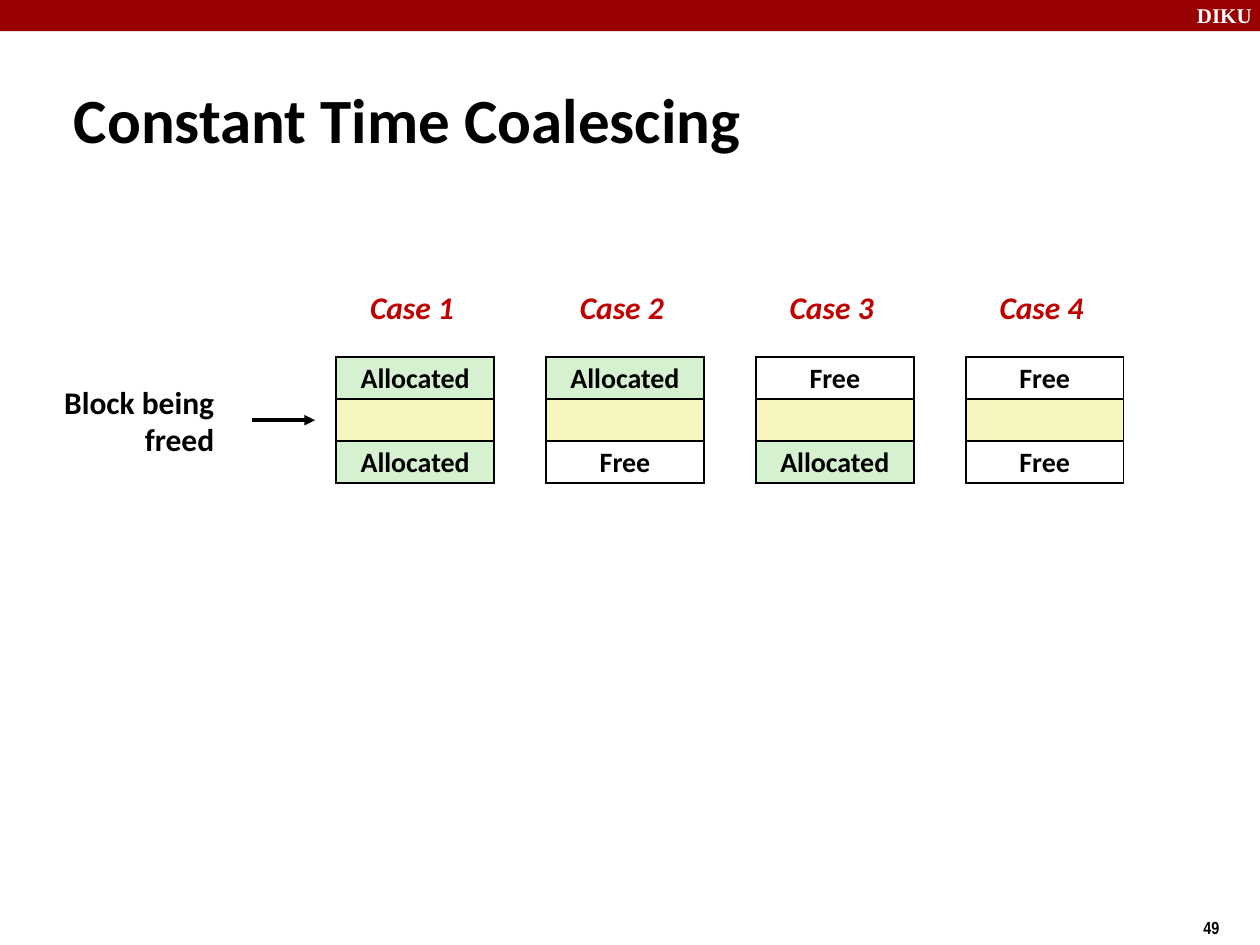
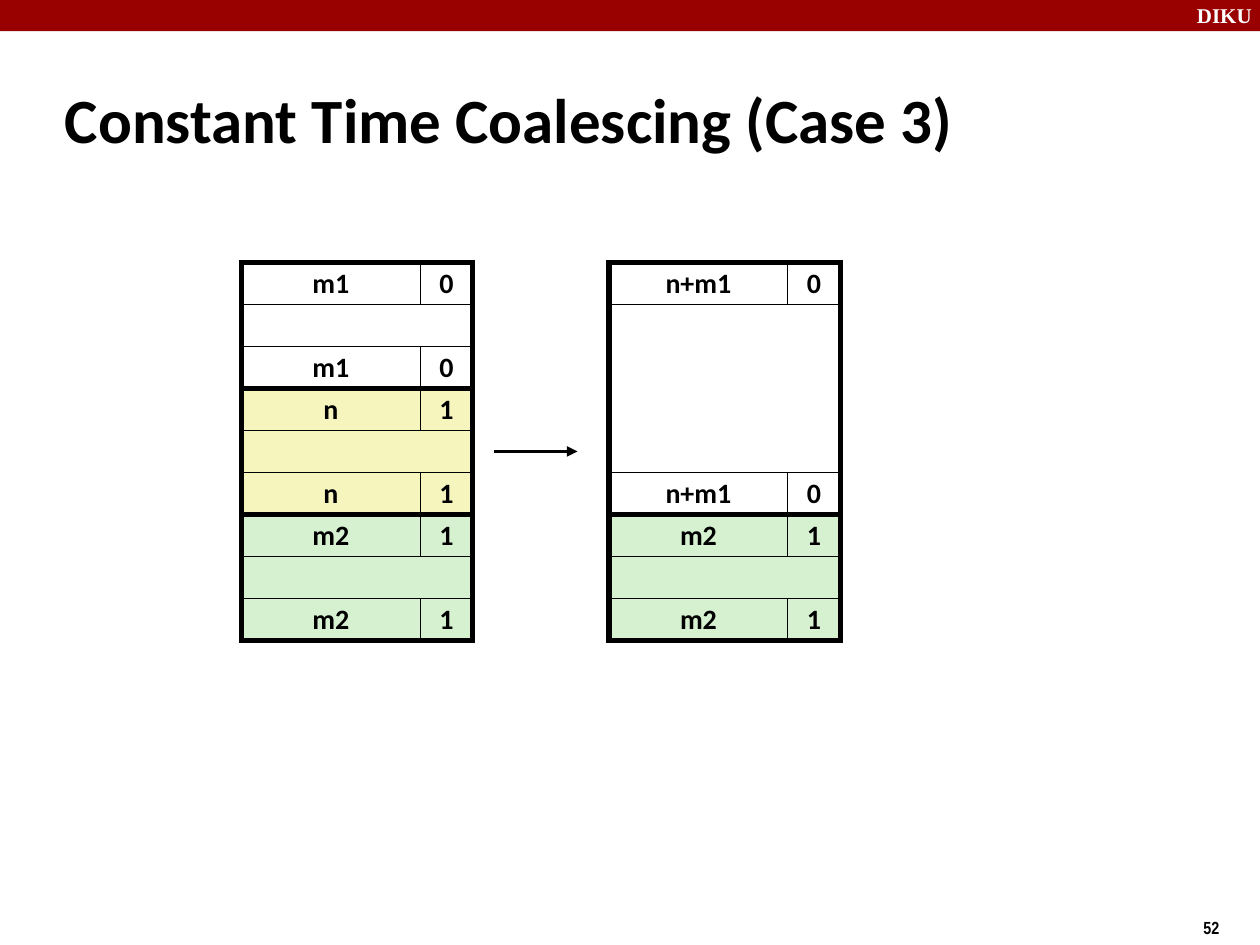
from dataclasses import dataclass

import pptx
import pptx.dml.color
import pptx.enum.shapes
import pptx.enum.text
import pptx.oxml
import pptx.oxml.ns
import pptx.util

Cm = pptx.util.Cm
Pt = pptx.util.Pt
RGB = pptx.dml.color.RGBColor.from_string
ALIGN = pptx.enum.text.PP_ALIGN
ANCHOR = pptx.enum.text.MSO_ANCHOR


@dataclass(frozen=True)
class Theme:
    band: str = "990000"
    accent: str = "C00000"
    ink: str = "000000"
    free: str = "FFFFFF"
    freed: str = "F6F5BD"
    allocated: str = "D5F1CF"
    font: str = "Calibri"
    brand_font: str = "Times New Roman"
    number_font: str = "Arial Narrow"
    title_size: int = 36
    label_size: int = 18
    cell_size: int = 16
    brand_size: int = 12
    number_size: int = 10
    thin: float = 0.25
    medium: float = 1
    arrow: float = 2
    thick: float = 3


T = Theme()
SLIDE_W, SLIDE_H = Cm(25.4), Cm(19.05)
ROW = Cm(2.54) // 3
SIZE_W, FLAG_W = Cm(3.6), Cm(1.06)
BLOCK_W = SIZE_W + FLAG_W


def write(s, lines, size, color=T.ink, font=T.font, align=ALIGN.LEFT,
          italic=False, spacing=None, wrap=True, anchor=ANCHOR.TOP):
    tf = s.text_frame
    tf.word_wrap = wrap
    tf.vertical_anchor = anchor
    tf.text = lines
    for p in tf.paragraphs:
        p.alignment = align
        p.line_spacing = spacing
        p.font.name = font
        p.font.size = Pt(size)
        p.font.bold = True
        p.font.italic = italic
        p.font.color.rgb = RGB(color)


def add_text(slide, left, top, width, height, lines, size, **style):
    write(slide.shapes.add_textbox(left, top, width, height), lines, size, **style)


def style_line(s, width, end):
    """Ink outline of the given width, closed by one more a:ln child."""
    s.line.color.rgb = RGB(T.ink)
    s.line.width = Pt(width)
    ln = s.element.spPr.find(pptx.oxml.ns.qn("a:ln"))
    ln.append(pptx.oxml.parse_xml(f'<a:{end} {pptx.oxml.ns.nsdecls("a")}/>'))


def add_rect(slide, left, top, width, height, fill=None, line=None):
    """Rectangle; no fill or no line where that argument is None."""
    s = slide.shapes.add_shape(pptx.enum.shapes.MSO_SHAPE.RECTANGLE,
                               left, top, width, height)
    s.shadow.inherit = False
    if fill:
        s.fill.solid()
        s.fill.fore_color.rgb = RGB(fill)
    else:
        s.fill.background()
    if line:
        style_line(s, line, 'miter lim="800000"'.split()[0])
    else:
        s.line.fill.background()
    return s


def add_cell(slide, left, top, width, text, fill, line):
    s = add_rect(slide, left, top, width, ROW, fill, line)
    if text:
        write(s, text, T.cell_size, align=ALIGN.CENTER, spacing=0.98,
              wrap=False, anchor=ANCHOR.MIDDLE)


def add_arrow(slide, left, right, y):
    s = slide.shapes.add_connector(pptx.enum.shapes.MSO_CONNECTOR.STRAIGHT,
                                   left, y, right, y)
    style_line(s, T.arrow, 'tailEnd type="triangle"')
    sp_pr = s.element.spPr
    sp_pr.append(sp_pr.makeelement(pptx.oxml.ns.qn("a:effectLst"), {}))


def add_slide(prs, title, title_left, number):
    """Blank slide with the shared band, title and slide number."""
    slide = prs.slides.add_slide(prs.slide_layouts[6])
    add_rect(slide, 0, 0, SLIDE_W, Cm(0.63), T.band)
    add_text(slide, Cm(23.88), Cm(-0.08), Cm(1.7), Cm(0.76), "DIKU", T.brand_size,
             color=T.free, font=T.brand_font)
    add_text(slide, Cm(24.01), Cm(18.36), Cm(1.35), Cm(0.69), number,
             T.number_size, font=T.number_font)
    add_text(slide, title_left, Cm(1.59), Cm(23), Cm(1.6), title, T.title_size,
             anchor=ANCHOR.MIDDLE)
    return slide


def add_case(slide, number, left, before, after):
    """Freed block between its two neighbours, under a case label."""
    fills = {"Allocated": T.allocated, "Free": T.free, "": T.freed}
    add_text(slide, left + Cm(0.43), Cm(5.72), Cm(2.75), Cm(1.02),
             f"Case {number}", T.label_size, color=T.accent, italic=True, spacing=0.98)
    for i, state in enumerate((before, "", after)):
        add_cell(slide, left, Cm(7.2) + i * ROW, Cm(3.18), state,
                 fills[state], T.medium)


def add_block(slide, left, top, size, flag, fill, body_rows=1):
    """Memory block with equal header and footer; returns its bottom edge."""
    body = body_rows * ROW
    add_rect(slide, left, top + ROW, BLOCK_W, body, fill, T.thin)
    for y in (top, top + ROW + body):
        add_cell(slide, left, y, SIZE_W, size, fill, T.thin)
        add_cell(slide, left + SIZE_W, y, FLAG_W, flag, fill, T.thin)
    height = body + 2 * ROW
    add_rect(slide, left, top, BLOCK_W, height, line=T.thick)
    return top + height


def add_heap(slide, left, blocks):
    top = Cm(5.29)
    for block in blocks:
        top = add_block(slide, left, top, *block)


def build_cases(prs):
    slide = add_slide(prs, "Constant Time Coalescing", Cm(1.24), "49")
    cases = [("Allocated", "Allocated"), ("Allocated", "Free"),
             ("Free", "Allocated"), ("Free", "Free")]
    for i, (before, after) in enumerate(cases):
        add_case(slide, i + 1, Cm(6.78 + 4.23 * i), before, after)
    add_text(slide, Cm(0.57), Cm(7.63), Cm(4), Cm(1.78), "Block being\nfreed",
             T.label_size, align=ALIGN.RIGHT, spacing=0.98)
    add_arrow(slide, Cm(5.08), Cm(6.35), Cm(8.47))


def build_case_3(prs):
    slide = add_slide(prs, "Constant Time Coalescing (Case 3)", Cm(1.06), "52")
    next_block = ("m2", "1", T.allocated)
    add_heap(slide, Cm(4.87), [("m1", "0", T.free), ("n", "1", T.freed), next_block])
    add_heap(slide, Cm(12.28), [("n+m1", "0", T.free, 4), next_block])
    add_arrow(slide, Cm(9.95), Cm(11.64), Cm(9.1))


def main():
    prs = pptx.Presentation()
    prs.slide_width, prs.slide_height = SLIDE_W, SLIDE_H
    build_cases(prs)
    build_case_3(prs)
    prs.save("out.pptx")


if __name__ == "__main__":
    main()
